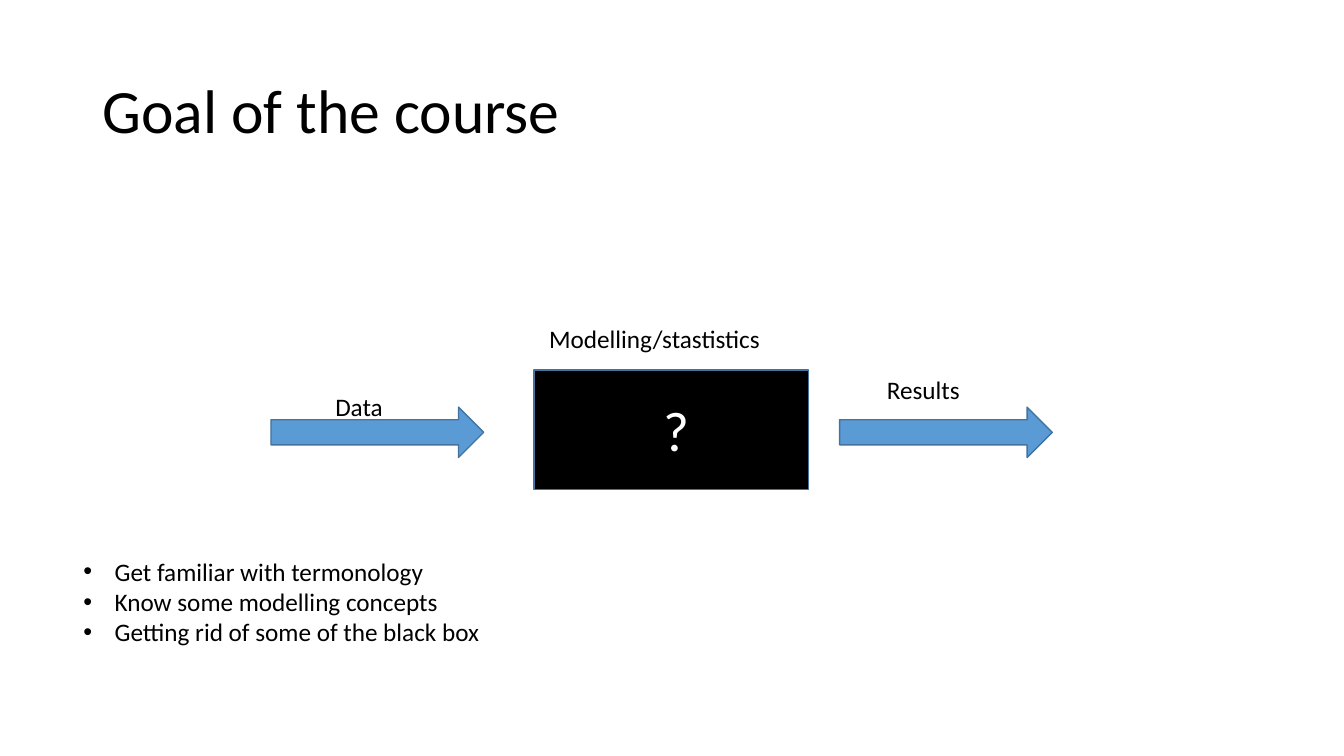
from dataclasses import dataclass

from lxml import etree
from pptx import Presentation
from pptx.dml.color import RGBColor
from pptx.enum.shapes import MSO_SHAPE
from pptx.enum.text import MSO_ANCHOR, PP_ALIGN
from pptx.oxml.ns import qn
from pptx.util import Cm, Pt

RECTANGLE, ARROW = MSO_SHAPE.RECTANGLE, MSO_SHAPE.RIGHT_ARROW
LEFT, CENTER = PP_ALIGN.LEFT, PP_ALIGN.CENTER
TOP, MIDDLE = MSO_ANCHOR.TOP, MSO_ANCHOR.MIDDLE

# Content; places are left, top, width, height in cm
TITLE = "Goal of the course"
GOALS = [
    "Get familiar with termonology",
    "Know some modelling concepts",
    "Getting rid of some of the black box",
]
LABELS = [
    ("Results", (22.1, 9.32, 4.42, 1.02)),
    ("Modelling/stastistics", (13.59, 8.03, 6.93, 1.02)),
    ("Data", (8.2, 9.73, 4.42, 1.02)),
]
QUESTION = "?"
BLACK_BOX = (13.46, 9.32, 6.91, 3.02)
ARROW_LEFTS = [6.83, 21.16]
ARROW_TOP, ARROW_WIDTH, ARROW_HEIGHT = 10.26, 5.36, 1.27


@dataclass(frozen=True)
class Theme:
    font: str = "Calibri"
    bullet_font: str = "Arial"
    ink: str = "000000"
    light: str = "FFFFFF"
    arrow: str = "5B9BD5"
    outline: str = "43739E"
    title_size: int = 44
    question_size: int = 40
    body_size: int = 18


THEME = Theme()


def add_bullet(paragraph):
    properties = paragraph._p.get_or_add_pPr()
    properties.set("marL", str(Cm(0.79)))
    properties.set("indent", str(-Cm(0.79)))
    etree.SubElement(properties, qn("a:buFont"), typeface=THEME.bullet_font)
    etree.SubElement(properties, qn("a:buChar"), char="•")


def add_text(slide, lines, place, *, size=THEME.body_size, color=THEME.ink,
             align=LEFT, anchor=TOP, spacing=1.0, bullets=False):
    frame = slide.shapes.add_textbox(*map(Cm, place)).text_frame
    frame.word_wrap = True
    frame.vertical_anchor = anchor
    frame.text = "\n".join(lines)
    for paragraph in frame.paragraphs:
        paragraph.alignment = align
        paragraph.line_spacing = spacing
        if bullets:
            add_bullet(paragraph)
        font = paragraph.runs[0].font
        font.name, font.size = THEME.font, Pt(size)
        font.color.rgb = RGBColor.from_string(color)


def add_block(slide, kind, place, fill):
    block = slide.shapes.add_shape(kind, *map(Cm, place))
    block.shadow.inherit = False
    block.fill.solid()
    block.fill.fore_color.rgb = RGBColor.from_string(fill)
    block.line.color.rgb = RGBColor.from_string(THEME.outline)
    block.line.width = Pt(1)


def main():
    deck = Presentation()
    deck.slide_width, deck.slide_height = Cm(33.87), Cm(19.05)
    slide = deck.slides.add_slide(deck.slide_layouts[6])

    # Title
    add_text(slide, [TITLE], (2.34, 1.02, 29.21, 3.68),
             size=THEME.title_size, anchor=MIDDLE, spacing=0.9)

    # Black box between the two arrows
    add_block(slide, RECTANGLE, BLACK_BOX, THEME.ink)
    for left in ARROW_LEFTS:
        add_block(slide, ARROW, (left, ARROW_TOP, ARROW_WIDTH, ARROW_HEIGHT),
                  THEME.arrow)
    add_text(slide, [QUESTION], (14.83, 9.83, 4.42, 1.96),
             size=THEME.question_size, color=THEME.light, align=CENTER)

    # Labels
    for label, place in LABELS:
        add_text(slide, [label], place)

    # Goals
    add_text(slide, GOALS, (1.85, 13.89, 10.77, 3.33), bullets=True)

    deck.save("out.pptx")


if __name__ == "__main__":
    main()
